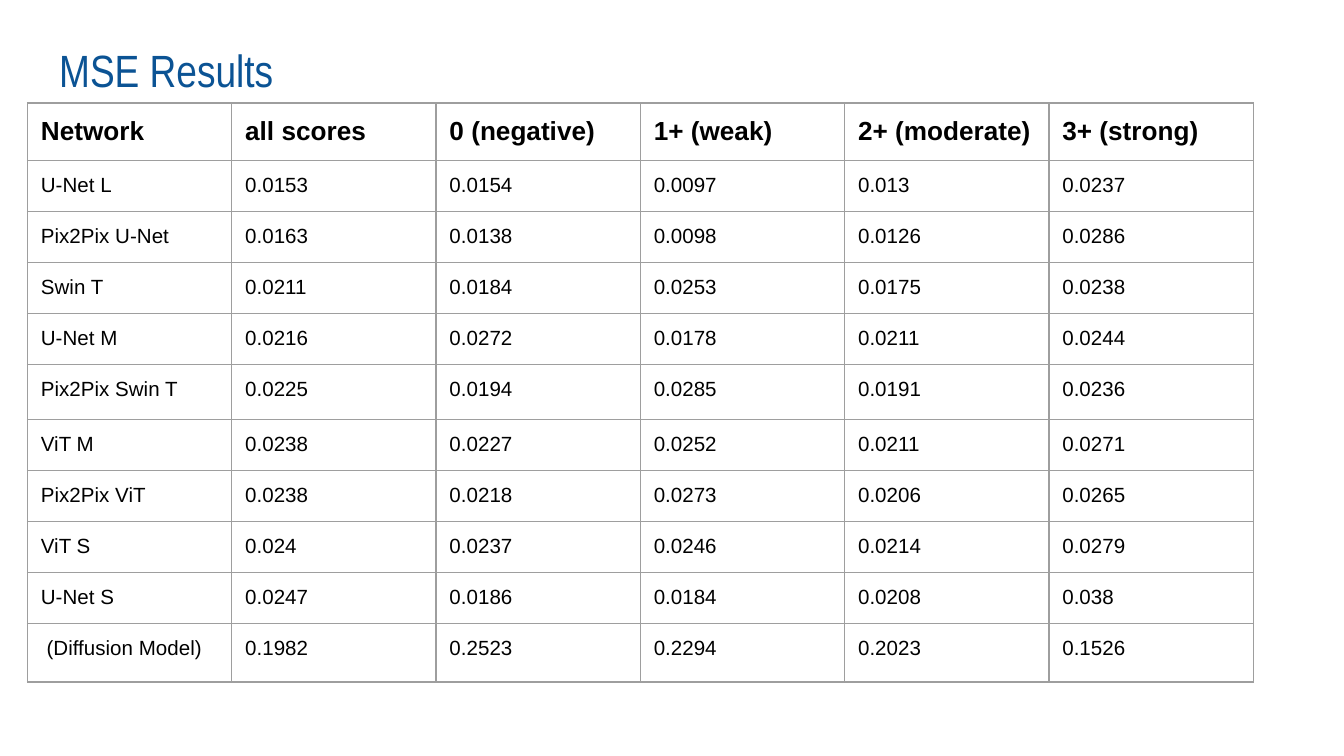
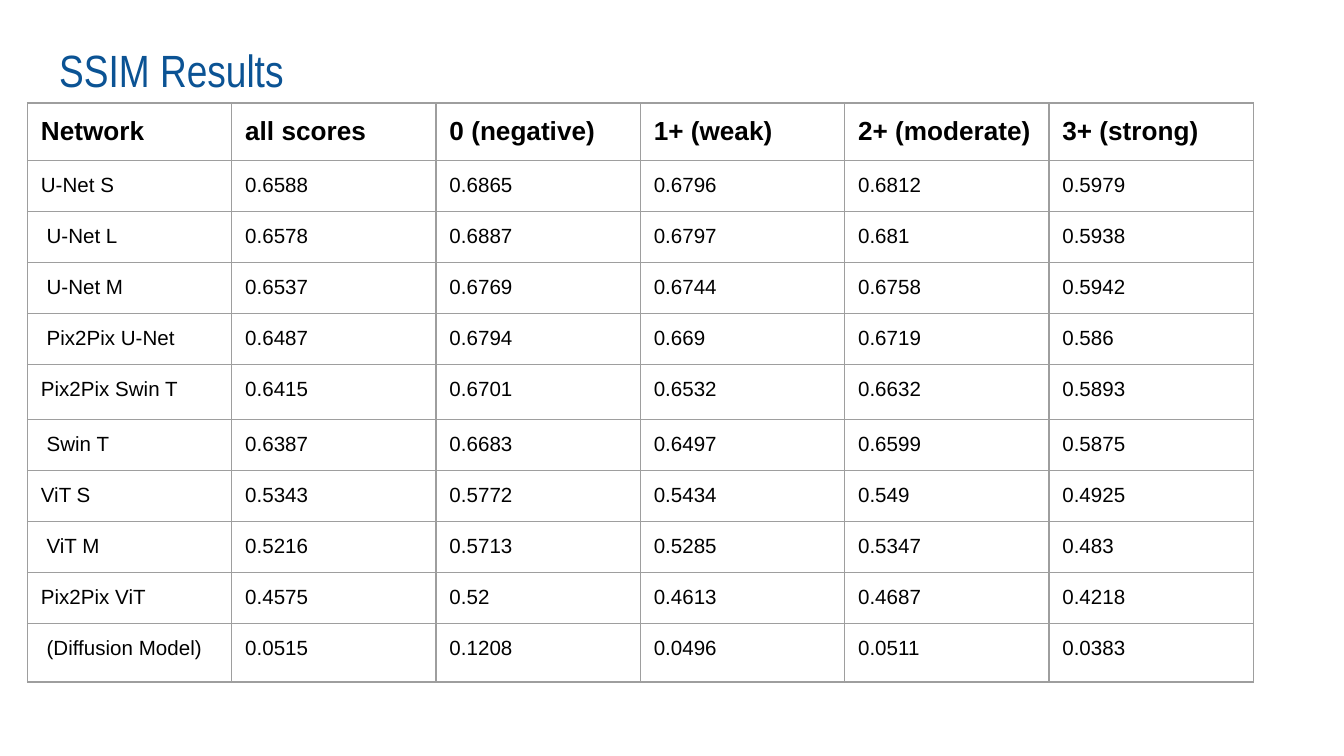
from lxml import etree
from pptx import Presentation
from pptx.dml.color import RGBColor
from pptx.enum.text import MSO_ANCHOR, MSO_AUTO_SIZE, PP_ALIGN
from pptx.oxml.ns import qn
from pptx.util import Pt

LEFT = PP_ALIGN.LEFT
TOP, MIDDLE = MSO_ANCHOR.TOP, MSO_ANCHOR.MIDDLE
FIXED = MSO_AUTO_SIZE.NONE

BLACK = RGBColor.from_string("000000")
INSET = Pt(7.2)
THEME = {
    "title": {"name": "Arial Narrow", "size": Pt(24.2), "bold": False,
              "color": RGBColor.from_string("0B5394")},
    "head": {"name": "Arial", "size": Pt(14), "bold": True, "color": BLACK},
    "body": {"name": "Arial", "size": Pt(11), "bold": False, "color": BLACK},
    "grid": {"color": "9E9E9E", "width": Pt(0.75)},
}
PAD = {"margin_left": INSET, "margin_top": INSET,
       "margin_right": INSET, "margin_bottom": INSET}
FRAME = {**PAD, "word_wrap": True, "auto_size": FIXED, "vertical_anchor": MIDDLE}
CELL = {**PAD, "vertical_anchor": TOP}
PLACE = {"left": Pt(24.5), "top": Pt(14.4), "width": Pt(671), "height": Pt(45.4)}

COL = Pt(109.45)
ROWS = [30.8] + [27.35] * 4 + [29.5] + [27.35] * 4 + [31.3]
HEADS = ("Network", "all scores", "0 (negative)", "1+ (weak)",
         "2+ (moderate)", "3+ (strong)")
RESULTS = {
    "MSE Results": [
        ("U-Net L", 0.0153, 0.0154, 0.0097, 0.013, 0.0237),
        ("Pix2Pix U-Net", 0.0163, 0.0138, 0.0098, 0.0126, 0.0286),
        ("Swin T", 0.0211, 0.0184, 0.0253, 0.0175, 0.0238),
        ("U-Net M", 0.0216, 0.0272, 0.0178, 0.0211, 0.0244),
        ("Pix2Pix Swin T", 0.0225, 0.0194, 0.0285, 0.0191, 0.0236),
        ("ViT M", 0.0238, 0.0227, 0.0252, 0.0211, 0.0271),
        ("Pix2Pix ViT", 0.0238, 0.0218, 0.0273, 0.0206, 0.0265),
        ("ViT S", 0.024, 0.0237, 0.0246, 0.0214, 0.0279),
        ("U-Net S", 0.0247, 0.0186, 0.0184, 0.0208, 0.038),
        (" (Diffusion Model)", 0.1982, 0.2523, 0.2294, 0.2023, 0.1526),
    ],
    "SSIM Results": [
        ("U-Net S", 0.6588, 0.6865, 0.6796, 0.6812, 0.5979),
        (" U-Net L", 0.6578, 0.6887, 0.6797, 0.681, 0.5938),
        (" U-Net M", 0.6537, 0.6769, 0.6744, 0.6758, 0.5942),
        (" Pix2Pix U-Net", 0.6487, 0.6794, 0.669, 0.6719, 0.586),
        ("Pix2Pix Swin T", 0.6415, 0.6701, 0.6532, 0.6632, 0.5893),
        (" Swin T", 0.6387, 0.6683, 0.6497, 0.6599, 0.5875),
        ("ViT S", 0.5343, 0.5772, 0.5434, 0.549, 0.4925),
        (" ViT M", 0.5216, 0.5713, 0.5285, 0.5347, 0.483),
        ("Pix2Pix ViT", 0.4575, 0.52, 0.4613, 0.4687, 0.4218),
        (" (Diffusion Model)", 0.0515, 0.1208, 0.0496, 0.0511, 0.0383),
    ],
}


def write(frame, text, style):
    para = frame.paragraphs[0]
    para.alignment = LEFT
    run = para.add_run()
    run.text = text
    for key, value in THEME[style].items():
        if key == "color":
            run.font.color.rgb = value
        else:
            setattr(run.font, key, value)


def edge(cell):
    props = cell._tc.get_or_add_tcPr()
    for side in ("a:lnL", "a:lnR", "a:lnT", "a:lnB"):
        line = etree.SubElement(props, qn(side), w=str(THEME["grid"]["width"]))
        fill = etree.SubElement(line, qn("a:solidFill"))
        etree.SubElement(fill, qn("a:srgbClr"), val=THEME["grid"]["color"])


deck = Presentation()
deck.slide_width, deck.slide_height = Pt(720), Pt(405)

for name, scores in RESULTS.items():
    slide = deck.slides.add_slide(deck.slide_layouts[5])
    title = slide.shapes.title
    for key, value in PLACE.items():
        setattr(title, key, value)
    for key, value in FRAME.items():
        setattr(title.text_frame, key, value)
    write(title.text_frame, name, "title")

    table = slide.shapes.add_table(
        len(ROWS), len(HEADS), Pt(14.7), Pt(55.2),
        COL * len(HEADS), Pt(sum(ROWS))).table
    table.first_row = table.horz_banding = False
    for col in table.columns:
        col.width = COL
    for row, height in zip(table.rows, ROWS):
        row.height = Pt(height)

    for r, values in enumerate([HEADS] + scores):
        for c, value in enumerate(values):
            cell = table.cell(r, c)
            for key, setting in CELL.items():
                setattr(cell, key, setting)
            edge(cell)
            cell.fill.background()
            write(cell.text_frame, str(value), "body" if r else "head")

deck.save("out.pptx")
